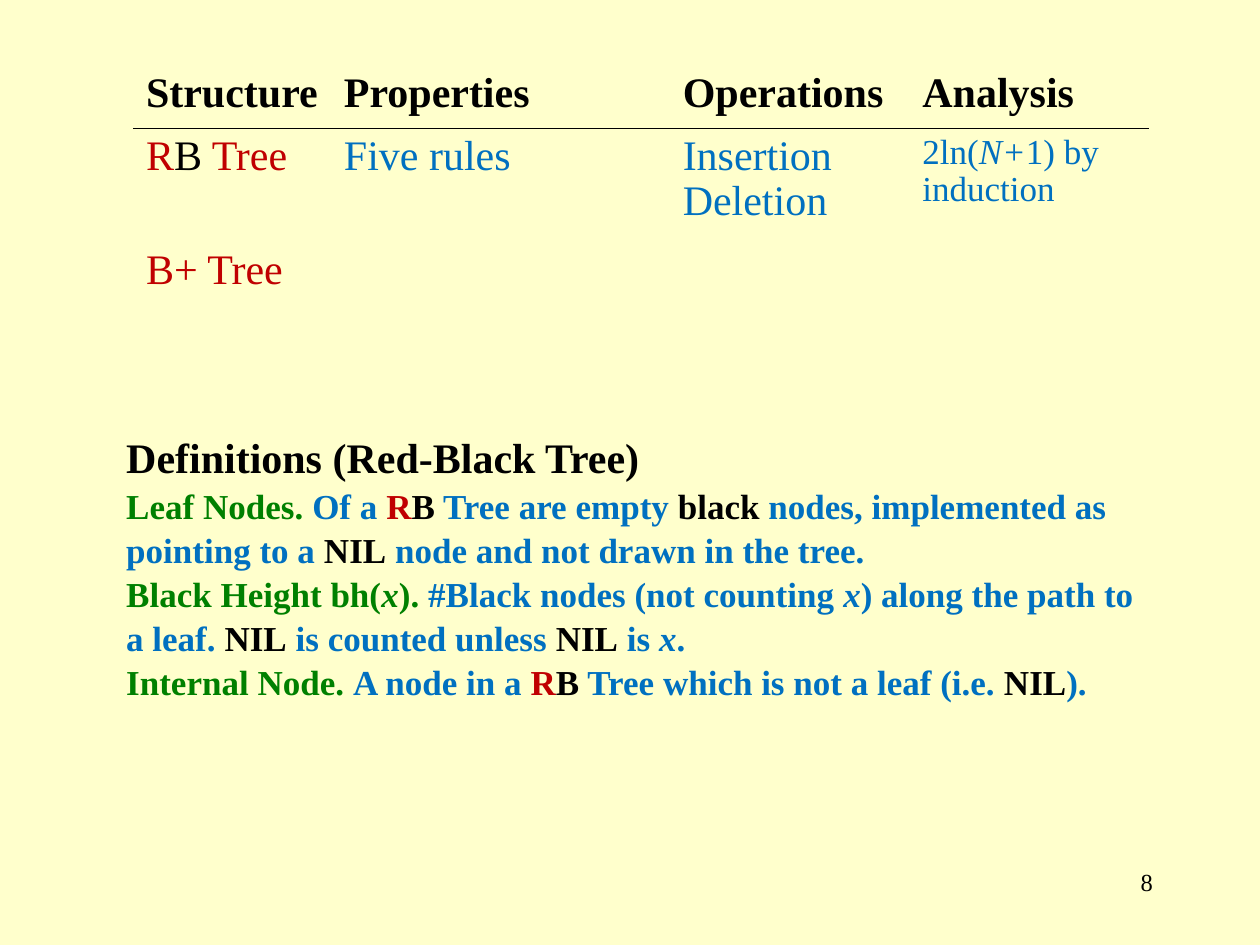
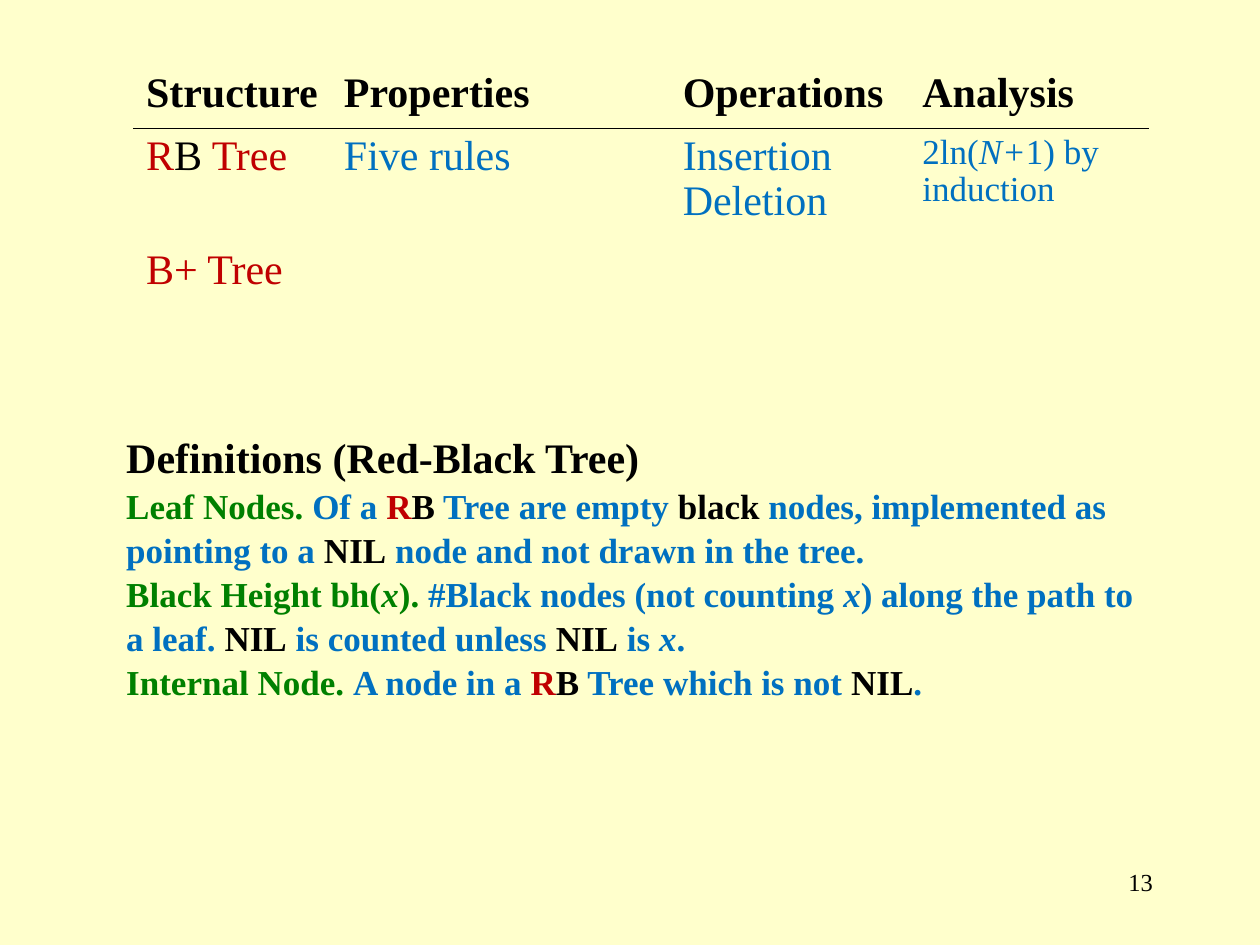
from typing import NamedTuple

from lxml.etree import SubElement
from pptx import Presentation
from pptx.dml.color import RGBColor
from pptx.enum.text import MSO_ANCHOR as Anchor, MSO_AUTO_SIZE as AutoSize, PP_ALIGN as Align
from pptx.oxml.ns import qn
from pptx.util import Cm, Pt

# Shared look
CREAM = RGBColor(0xFF, 0xFF, 0xCC)
BLACK = RGBColor(0, 0, 0)
RED = RGBColor(0xC0, 0, 0)
BLUE = RGBColor(0, 0x70, 0xC0)
GREEN = RGBColor(0, 0x80, 0)
FONT = "Times New Roman"
LARGE, MEDIUM, SMALL = Pt(24), Pt(20), Pt(14)
RULE_WIDTH = Pt(0.45)
TABLE_SPACING, DEFINITION_SPACING = 0.96, 1.05


class Box(NamedTuple):
    left: Cm
    top: Cm
    width: Cm
    height: Cm


class Run(NamedTuple):
    text: str
    color: RGBColor = BLUE
    italic: bool = False


class Line(NamedTuple):
    runs: list[Run]
    size: Pt = LARGE
    bold: bool = False


class Summary(NamedTuple):
    number: int
    internal_node: list[Run]


TABLE_BOX = Box(Cm(2.69), Cm(1.32), Cm(20.48), Cm(5.85))
DEFINITION_BOX = Box(Cm(2.29), Cm(8.53), Cm(21.21), Cm(6.35))
NUMBER_BOX = Box(Cm(18.21), Cm(17.35), Cm(5.28), Cm(1.27))
COLUMN_WIDTHS = [Cm(3.99), Cm(6.83), Cm(4.83), Cm(4.83)]
ROW_HEIGHTS = [Cm(1.27), Cm(2.29), Cm(2.29)]

# Wording
RED_BLACK = [Run("R", RED), Run("B", BLACK)]
NIL = Run("NIL", BLACK)
X = Run("x", italic=True)

HEADINGS = ["Structure", "Properties", "Operations", "Analysis"]
TABLE_ROWS = [
    [[Line([Run(heading, BLACK)], bold=True)] for heading in HEADINGS],
    [
        [Line([*RED_BLACK, Run(" Tree", RED)])],
        [Line([Run("Five rules")])],
        [Line([Run("Insertion")]), Line([Run("Deletion")])],
        [Line([Run("2ln("), Run("N+", italic=True), Run("1) by induction")], MEDIUM)],
    ],
    [[Line([Run("B+ Tree", RED)])], [], [], []],
]

DEFINITIONS = [
    [Run("Leaf Nodes. ", GREEN), Run("Of a "), *RED_BLACK, Run(" Tree are empty "),
     Run("black", BLACK), Run(" nodes, implemented as pointing to a "), NIL,
     Run(" node and not drawn in the tree.")],
    [Run("Black Height bh(", GREEN), Run("x", GREEN, True), Run("). ", GREEN),
     Run("#Black nodes (not counting "), X, Run(") along the path to a leaf. "), NIL,
     Run(" is counted unless "), NIL, Run(" is "), X, Run(".")],
]
INTERNAL_NODE = [Run("Internal Node. ", GREEN), Run("A node in a "), *RED_BLACK]

SUMMARIES = [
    Summary(8, [Run(" Tree which is not a leaf (i.e. "), NIL, Run(").")]),
    Summary(13, [Run(" Tree which is not "), NIL, Run(".")]),
]


def write_lines(text_frame, lines: list[Line], spacing: float = 1.0) -> None:
    for index, line in enumerate(lines):
        paragraph = text_frame.paragraphs[0] if index == 0 else text_frame.add_paragraph()
        paragraph.line_spacing = spacing
        paragraph.space_before = Pt(0)
        for part in line.runs:
            run = paragraph.add_run()
            run.text = part.text
            run.font.name = FONT
            run.font.size = line.size
            run.font.bold = line.bold
            run.font.italic = part.italic
            run.font.color.rgb = part.color


def set_borders(cell, ruled_side: str) -> None:
    """Rule one side of a cell and clear the others."""
    properties = cell._tc.get_or_add_tcPr()
    for side in ("lnL", "lnR", "lnT", "lnB"):
        border = SubElement(properties, qn(f"a:{side}"), w=str(RULE_WIDTH))
        if side == ruled_side:
            fill = SubElement(border, qn("a:solidFill"))
            SubElement(fill, qn("a:srgbClr"), val=str(BLACK))
        else:
            SubElement(border, qn("a:noFill"))


def add_structure_table(slide) -> None:
    table = slide.shapes.add_table(len(TABLE_ROWS), len(HEADINGS), *TABLE_BOX).table
    table.first_row = table.horz_banding = False
    for column, width in zip(table.columns, COLUMN_WIDTHS):
        column.width = width
    ruled_sides = ["lnB", "lnT", ""]
    for row, height, contents, side in zip(table.rows, ROW_HEIGHTS, TABLE_ROWS, ruled_sides):
        row.height = height
        for cell, lines in zip(row.cells, contents):
            set_borders(cell, side)
            cell.fill.background()
            write_lines(cell.text_frame, lines, TABLE_SPACING)


def fill_definitions(slide, internal_node: list[Run]) -> None:
    body = slide.placeholders[1]
    body.left, body.top, body.width, body.height = DEFINITION_BOX
    text_frame = body.text_frame
    text_frame.word_wrap = True
    text_frame.auto_size = AutoSize.NONE
    text_frame.vertical_anchor = Anchor.TOP
    lines = [Line([Run("Definitions (Red-Black Tree)", BLACK)], bold=True)]
    for runs in [*DEFINITIONS, INTERNAL_NODE + internal_node]:
        lines.append(Line(runs, MEDIUM, bold=True))
    write_lines(text_frame, lines, DEFINITION_SPACING)
    # Plain paragraphs: no bullet, no hanging indent
    for paragraph in text_frame.paragraphs:
        properties = paragraph._p.get_or_add_pPr()
        properties.set("marL", "0")
        properties.set("indent", "0")
        SubElement(properties, qn("a:buNone"))


def add_slide_number(slide, number: int) -> None:
    text_frame = slide.shapes.add_textbox(*NUMBER_BOX).text_frame
    text_frame.word_wrap = True
    write_lines(text_frame, [Line([Run(str(number), BLACK)], SMALL)])
    text_frame.paragraphs[0].alignment = Align.RIGHT


def add_summary_slide(presentation, summary: Summary) -> None:
    slide = presentation.slides.add_slide(presentation.slide_layouts[1])
    title = slide.shapes.title._element
    title.getparent().remove(title)
    add_slide_number(slide, summary.number)
    add_structure_table(slide)
    fill_definitions(slide, summary.internal_node)


def main() -> None:
    presentation = Presentation()
    presentation.slide_width, presentation.slide_height = Cm(25.4), Cm(19.05)
    background = presentation.slide_master.background.fill
    background.solid()
    background.fore_color.rgb = CREAM
    for summary in SUMMARIES:
        add_summary_slide(presentation, summary)
    presentation.save("out.pptx")


if __name__ == "__main__":
    main()
